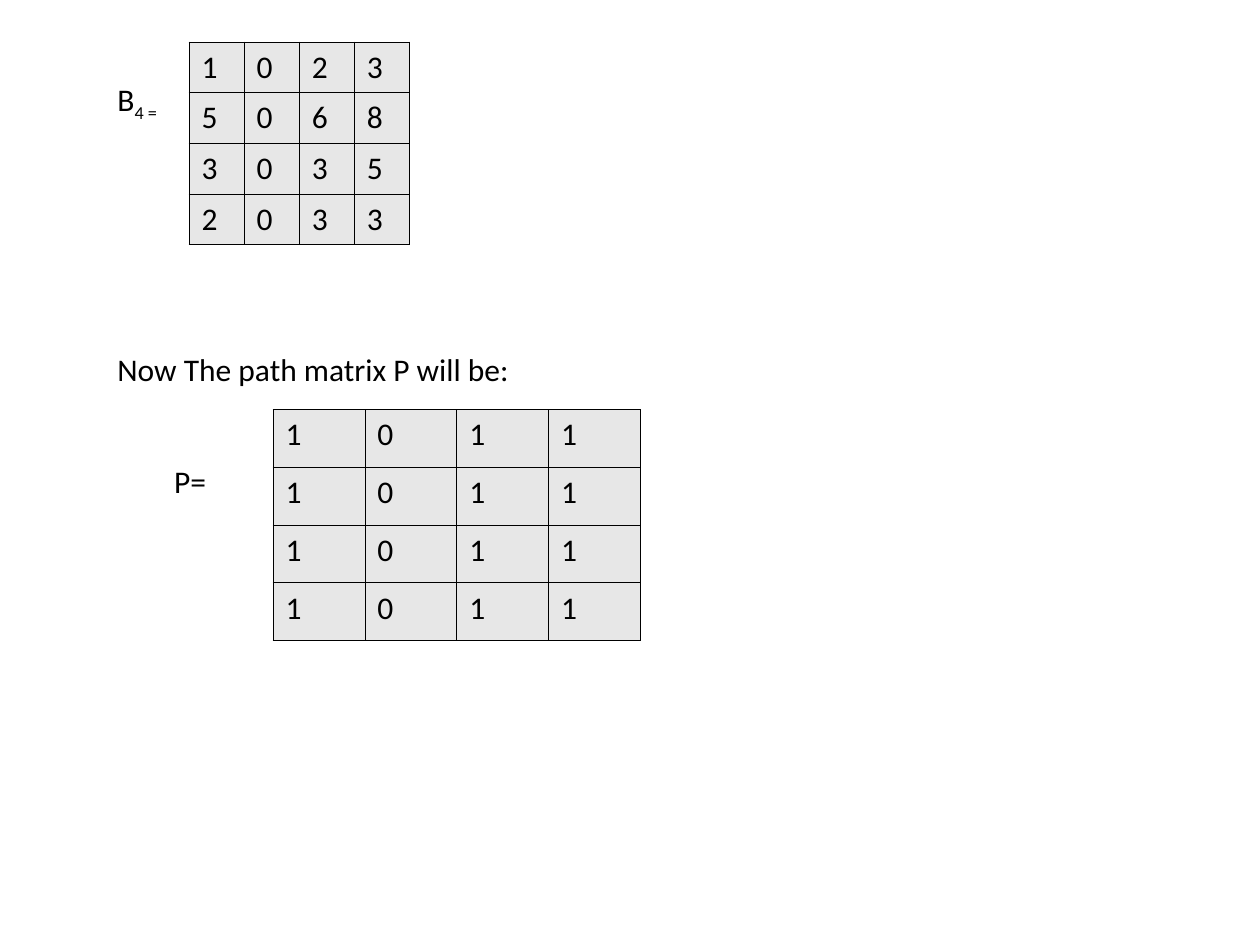
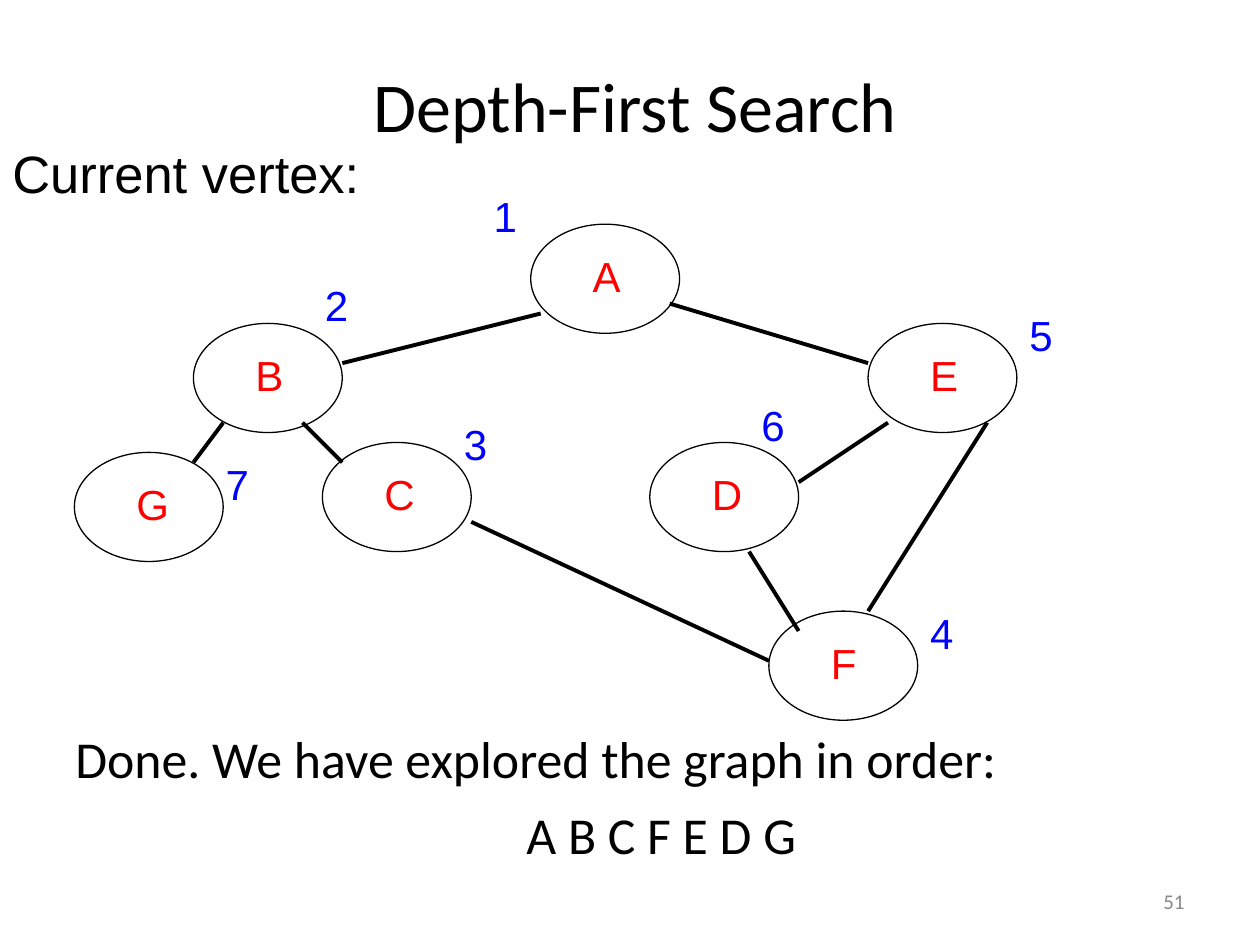
"""Build two lecture slides: a path matrix and a finished depth-first search."""
from dataclasses import dataclass
from typing import Any

from lxml import etree
from pptx import Presentation, util as u
from pptx.dml.color import RGBColor
from pptx.enum import shapes, text
from pptx.oxml import ns

BLACK = RGBColor(0x00, 0x00, 0x00)
RED = RGBColor(0xFF, 0x00, 0x00)
BLUE = RGBColor(0x00, 0x00, 0xFF)
GREY = RGBColor(0x89, 0x89, 0x89)
CELL_GREY = RGBColor(0xE7, 0xE7, 0xE7)

SLIDE_WIDTH, SLIDE_HEIGHT = u.Inches(10), u.Inches(7.5)
HANGING = u.Inches(0.38)
CELL_BORDER = u.Pt(0.45)
VERTEX_SIZE = (15, 11)
LETTER_SHIFT = (5, 2)
LABEL_SIZE = (5, 6.3)


@dataclass(frozen=True)
class Grid:
    """Square grid over the slide, with an optional shift of its first cell."""
    columns: int
    shift: tuple[float, float] = (0, 0)

    def length(self, cells: float) -> int:
        return round(SLIDE_WIDTH * cells / self.columns)

    def point(self, column: float, row: float) -> tuple[int, int]:
        return self.length(column + self.shift[0]), self.length(row + self.shift[1])

    def area(self, column: float, row: float, wide: float, high: float) -> tuple[int, ...]:
        return *self.point(column, row), self.length(wide), self.length(high)


@dataclass(frozen=True)
class Style:
    """Font of a run of text."""
    size: float
    name: str = "Calibri"
    color: RGBColor = BLACK


@dataclass(frozen=True)
class Label:
    """Text box placed in grid cells."""
    lines: tuple[str, ...]
    area: tuple[float, float, float, float]
    style: Style
    frame: dict[str, Any]
    aligns: tuple[Any, ...] = (None,)
    hanging: bool = False


@dataclass(frozen=True)
class Matrix:
    """Square table of digits, one string for each row."""
    rows: tuple[str, ...]
    area: tuple[float, float, float, float]


@dataclass(frozen=True)
class Vertex:
    """Graph vertex with its order of visit and the place of that number."""
    name: str
    corner: tuple[float, float]
    order: str
    order_corner: tuple[float, float]


PAGE_GRID = Grid(120)
GRAPH_GRID = Grid(127, (0.5, 0.6))

NOTE = Style(18)
TITLE = Style(40)
BODY = Style(29.6)
NUMBER = Style(12, color=GREY)
CURRENT = Style(30, "Arial")
LETTER = Style(24, "Arial", RED)
ORDER = Style(24, "Arial", BLUE)

WRAPPED = {"word_wrap": True}
CENTERED = {"word_wrap": True, "vertical_anchor": text.MSO_ANCHOR.MIDDLE}
FITTED = {"word_wrap": False, "auto_size": text.MSO_AUTO_SIZE.SHAPE_TO_FIT_TEXT}

MATRICES = (
    Matrix(("1023", "5068", "3035", "2033"), (18, 4, 21, 19.3)),
    Matrix(("1011",) * 4, (26, 39, 35, 22)),
)
MATRIX_NOTES = (
    Label(("Now The path matrix P will be:",), (10, 32.7, 50, 5), NOTE, WRAPPED),
    Label(("P=",), (15.4, 43.4, 9, 5), NOTE, WRAPPED),
)
B_NOTE = Label(("B",), (10, 7, 8, 5), NOTE, WRAPPED)

SEARCH_TEXTS = (
    Label(("51",), (86, 83.4, 28, 4.8), NUMBER, CENTERED, (text.PP_ALIGN.RIGHT,)),
    Label(("Done. We have explored the graph in order:", "A B C F E D G"),
          (6, 68.6, 114, 15.1), BODY, WRAPPED, (None, text.PP_ALIGN.CENTER), True),
    Label(("Current vertex:",), (0, 12.8, 108, 11.9), CURRENT, WRAPPED, hanging=True),
    Label(("Depth-First Search",), (6, 5, 109, 10), TITLE, CENTERED,
          (text.PP_ALIGN.CENTER,)),
)
VERTICES = (
    Vertex("A", (53, 22), "1", (48, 18)),
    Vertex("B", (19, 32), "2", (31, 27)),
    Vertex("G", (7, 45), "7", (21, 45)),
    Vertex("C", (32, 44), "3", (45, 41)),
    Vertex("E", (87, 32), "5", (102, 30)),
    Vertex("D", (65, 44), "6", (75, 39)),
    Vertex("F", (77, 61), "4", (92, 60)),
)
EDGES = (
    ((54, 31), (34, 36)),
    ((67, 30), (87, 36)),
    ((99, 42), (87, 61)),
    ((89, 42), (80, 48)),
    ((75, 55), (80, 63)),
    ((77, 66), (47, 52)),
    ((30, 42), (34, 46)),
    ((22, 42), (19, 46)),
)


def apply(target: Any, values: dict[str, Any]) -> None:
    for name, value in values.items():
        setattr(target, name, value)


def add_span(para: Any, words: str, style: Style) -> Any:
    span = para.add_run()
    span.text = words
    apply(span.font, {"size": u.Pt(style.size), "name": style.name})
    span.font.color.rgb = style.color
    return span


def add_label(parent: Any, label: Label, grid: Grid = PAGE_GRID) -> Any:
    box = parent.shapes.add_textbox(*grid.area(*label.area))
    frame = box.text_frame
    apply(frame, label.frame)
    for index, (line, align) in enumerate(zip(label.lines, label.aligns)):
        para = frame.add_paragraph() if index else frame.paragraphs[0]
        if index:
            para.space_before = u.Pt(8)
        if align is not None:
            para.alignment = align
        if label.hanging:
            apply(para._p.get_or_add_pPr(), {"marL": HANGING, "indent": -HANGING})
        add_span(para, line, label.style)
    return box


def add_border(cell: Any) -> None:
    properties = cell._tc.get_or_add_tcPr()
    for index, side in enumerate(("lnL", "lnR", "lnT", "lnB")):
        line = etree.Element(ns.qn(f"a:{side}"), w=str(int(CELL_BORDER)))
        paint = etree.SubElement(line, ns.qn("a:solidFill"))
        etree.SubElement(paint, ns.qn("a:srgbClr"), val=str(BLACK))
        properties.insert(index, line)


def add_matrix(page: Any, matrix: Matrix) -> None:
    count = len(matrix.rows)
    left, top, width, height = PAGE_GRID.area(*matrix.area)
    table = page.shapes.add_table(count, count, left, top, width, height).table
    apply(table, {"first_row": False, "horz_banding": False})
    for row, digits in enumerate(matrix.rows):
        table.rows[row].height = height // count
        for column, digit in enumerate(digits):
            cell = table.cell(row, column)
            cell.fill.solid()
            cell.fill.fore_color.rgb = CELL_GREY
            add_border(cell)
            add_span(cell.text_frame.paragraphs[0], digit, NOTE)


def add_graph_label(parent: Any, words: str, corner: tuple[float, float], style: Style) -> None:
    add_label(parent, Label((words,), (*corner, *LABEL_SIZE), style, FITTED), GRAPH_GRID)


def add_vertex(page: Any, vertex: Vertex) -> None:
    group = page.shapes.add_group_shape()
    oval = group.shapes.add_shape(
        shapes.MSO_SHAPE.OVAL, *GRAPH_GRID.area(*vertex.corner, *VERTEX_SIZE))
    oval.shadow.inherit = False
    oval.fill.background()
    oval.line.color.rgb = BLACK
    oval.line.width = u.Pt(0.75)
    column, row = (place + shift for place, shift in zip(vertex.corner, LETTER_SHIFT))
    add_graph_label(group, vertex.name, (column, row), LETTER)


def add_edge(page: Any, start: tuple[float, float], end: tuple[float, float]) -> None:
    edge = page.shapes.add_connector(
        shapes.MSO_CONNECTOR.STRAIGHT, *GRAPH_GRID.point(*start), *GRAPH_GRID.point(*end))
    edge.line.color.rgb = BLACK
    edge.line.width = u.Pt(2.25)
    etree.SubElement(edge._element.spPr, ns.qn("a:effectLst"))


def build_matrix_page(page: Any) -> None:
    box = add_label(page, B_NOTE)
    subscript = add_span(box.text_frame.paragraphs[0], "4 =", NOTE)
    subscript.font._element.set("baseline", "-25000")
    for note in MATRIX_NOTES:
        add_label(page, note)
    for matrix in MATRICES:
        add_matrix(page, matrix)


def build_search_page(page: Any) -> None:
    for vertex in VERTICES:
        add_vertex(page, vertex)
    for start, end in EDGES:
        add_edge(page, start, end)
    for vertex in VERTICES:
        add_graph_label(page, vertex.order, vertex.order_corner, ORDER)
    for label in SEARCH_TEXTS:
        add_label(page, label)


def main() -> None:
    deck = Presentation()
    apply(deck, {"slide_width": SLIDE_WIDTH, "slide_height": SLIDE_HEIGHT})
    for build in (build_matrix_page, build_search_page):
        build(deck.slides.add_slide(deck.slide_layouts[6]))
    deck.save("out.pptx")


if __name__ == "__main__":
    main()
